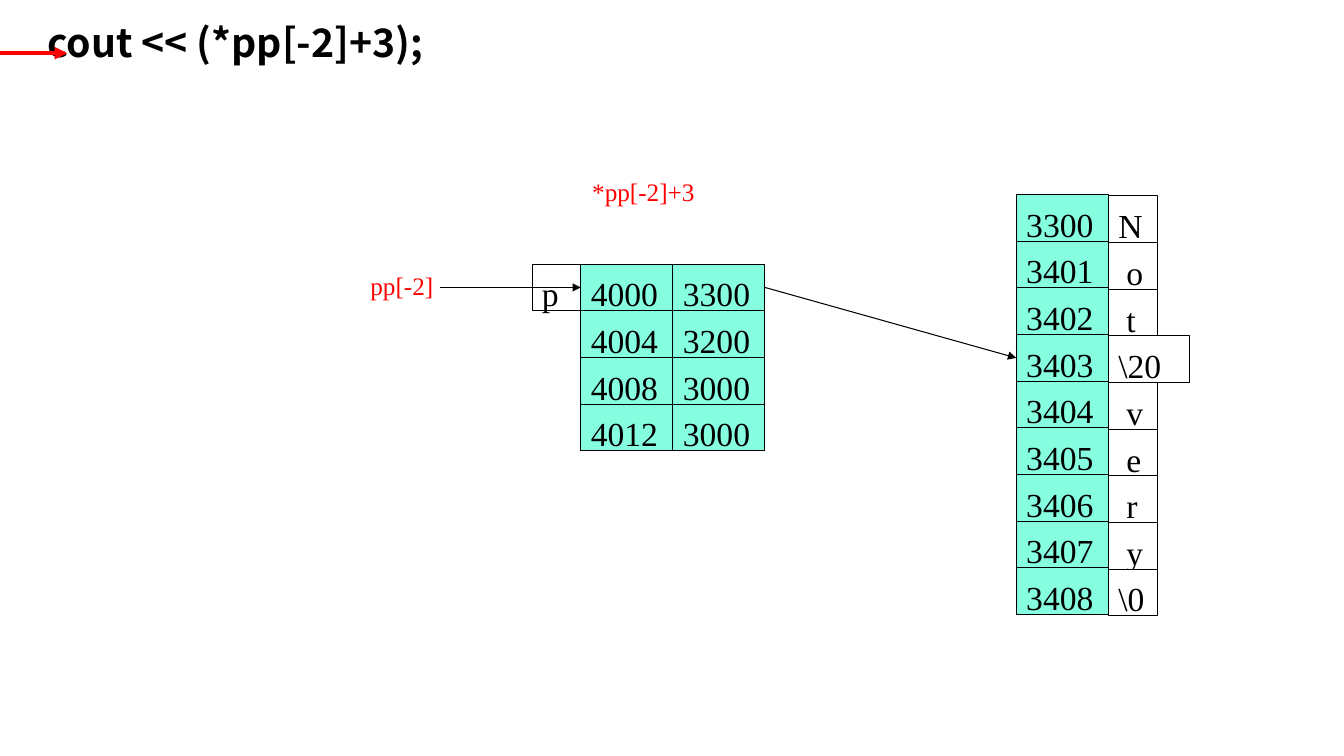
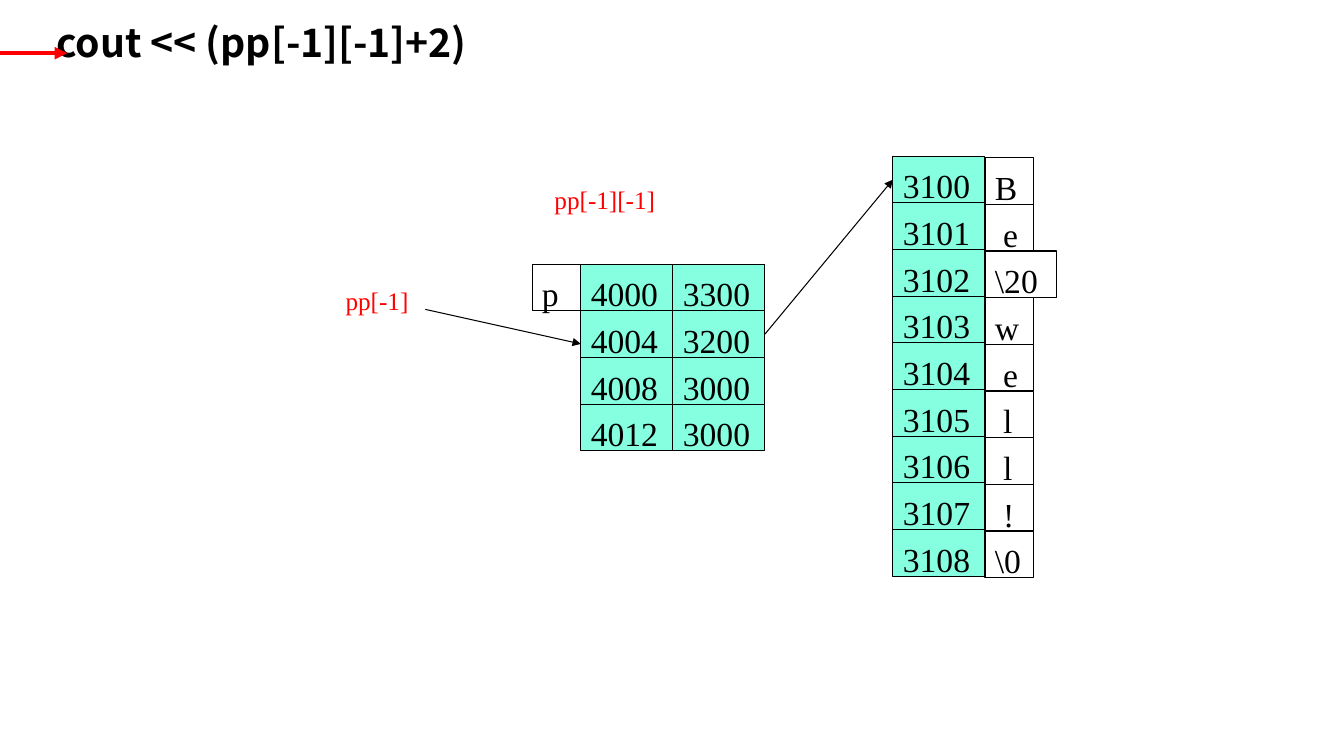
from dataclasses import dataclass

from pptx import Presentation
from pptx import util as u
from pptx.dml.color import RGBColor
from pptx.enum import shapes, text
from pptx.oxml.ns import qn
from lxml import etree


@dataclass(frozen=True)
class Theme:
    black: str = "000000"
    white: str = "FFFFFF"
    red: str = "FF0000"
    mint: str = "85FFE0"
    heading_font: str = "Noto Sans CJK SC"
    body_font: str = "Times New Roman"
    heading_size: float = 28
    cell_size: float = 24
    label_size: float = 18
    thin: float = 0.75
    thick: float = 3


# Grid: one column holds an address, one row holds a memory cell
WIDTH, HEIGHT = u.Inches(13.33), u.Inches(7.5)
COLUMN, ROW = WIDTH / 14.6, HEIGHT / 16.2
LETTER_WIDTH = 0.53
LETTER_DROP = 0.03
LETTER_INDENT = 0.18
WIDE_LETTERS = "NBw"

# Pointer array, the same on every page
ARRAY_LEFT, ARRAY_TOP = 6.31, 5.66
ADDRESSES = ["4000", "4004", "4008", "4012"]
VALUES = ["3300", "3200", "3000", "3000"]


class MemoryDeck:
    def __init__(self, theme):
        self.theme = theme
        self.deck = Presentation()
        self.deck.slide_width, self.deck.slide_height = WIDTH, HEIGHT
        self.page = None

    @staticmethod
    def place(left, top, width, height):
        return (round(left * COLUMN), round(top * ROW),
                round(width * COLUMN), round(height * ROW))

    def set_words(self, box, words, font, size, color, indent, top_margin, bold=False):
        frame = box.text_frame
        frame.text = words
        frame.auto_size = text.MSO_AUTO_SIZE.NONE
        frame.vertical_anchor = text.MSO_ANCHOR.TOP
        frame.margin_left = u.Inches(indent)
        frame.margin_top = u.Inches(top_margin)
        frame.margin_right = frame.margin_bottom = 0
        para = frame.paragraphs[0]
        para.alignment = text.PP_ALIGN.LEFT
        para.font.name, para.font.size, para.font.bold = font, u.Pt(size), bold
        para.font.color.rgb = RGBColor.from_string(color)
        return para

    def start_page(self, heading, indent):
        theme = self.theme
        self.page = self.deck.slides.add_slide(self.deck.slide_layouts[5])
        box = self.page.shapes.title
        box.left, box.top, box.width, box.height = self.place(0.22, 0.39, 14.23, 15.31)
        para = self.set_words(box, heading, theme.heading_font, theme.heading_size,
                              theme.black, indent, 0.05, bold=True)
        para.line_spacing = 0.9
        self.arrow((0, 1.14), (0.73, 1.14), theme.red, theme.thick)

    def label(self, words, left, top):
        box = self.page.shapes.add_textbox(*self.place(left, top, 1.77, 0.86))
        box.text_frame.word_wrap = True
        self.set_words(box, words, self.theme.body_font, self.theme.label_size,
                       self.theme.red, 0.35, 0.06)

    def cell(self, words, left, top, width=1.0, fill=None, indent=0.1):
        theme = self.theme
        box = self.page.shapes.add_shape(shapes.MSO_SHAPE.RECTANGLE,
                                         *self.place(left, top, width, 1))
        box.shadow.inherit = False
        box.fill.solid()
        box.fill.fore_color.rgb = RGBColor.from_string(fill or theme.mint)
        box.line.color.rgb = RGBColor.from_string(theme.black)
        box.line.width = u.Pt(theme.thin)
        box.text_frame.word_wrap = True
        self.set_words(box, words, theme.body_font, theme.cell_size, theme.black, indent, 0.09)

    def column(self, entries, left, top):
        for row, entry in enumerate(entries):
            self.cell(entry, left, top + row)

    def arrow(self, start, end, color=None, weight=None):
        x1, y1, x2, y2 = self.place(*start, *end)
        connector = self.page.shapes.add_connector(shapes.MSO_CONNECTOR.STRAIGHT, x1, y1, x2, y2)
        connector.line.color.rgb = RGBColor.from_string(color or self.theme.black)
        connector.line.width = u.Pt(weight or self.theme.thin)
        properties = connector.element.spPr
        etree.SubElement(properties.find(qn("a:ln")), qn("a:tailEnd"), type="triangle")
        etree.SubElement(properties, qn("a:effectLst"))

    def pointer_array(self):
        self.cell("p", ARRAY_LEFT - LETTER_WIDTH, ARRAY_TOP, LETTER_WIDTH, self.theme.white)
        self.column(ADDRESSES, ARRAY_LEFT, ARRAY_TOP)
        self.column(VALUES, ARRAY_LEFT + 1, ARRAY_TOP)

    def string(self, addresses, letters, left, top, space_width):
        self.column(addresses, left, top)
        for row, letter in enumerate(letters):
            narrow = len(letter) == 1 and letter not in WIDE_LETTERS
            self.cell(letter, left + 1, top + row + LETTER_DROP,
                      space_width if letter == "\\20" else LETTER_WIDTH,
                      self.theme.white, LETTER_INDENT if narrow else 0.1)

    def follow(self, array_row, left, top, string_row):
        self.arrow((ARRAY_LEFT + 2, ARRAY_TOP + array_row + 0.5),
                   (left, top + string_row + 0.5))


show = MemoryDeck(Theme())

# Page 1: fourth character of the first string
show.start_page("cout << (*pp[-2]+3);", 0.27)
show.pointer_array()
show.string(["3300"] + [str(3400 + n) for n in range(1, 9)],
            ["N", "o", "t", "\\20", "v", "e", "r", "y", "\\0"], 11.04, 4.17, 0.88)
show.label("*pp[-2]+3", 6.05, 3.65)
show.label("pp[-2]", 3.64, 5.66)
show.arrow((4.78, 6.16), (ARRAY_LEFT, 6.16))
show.follow(0, 11.04, 4.17, 3)

# Page 2: string just before the second pointer's target
show.start_page("cout << (pp[-1][-1]+2)", 0.36)
show.pointer_array()
show.string([str(3100 + n) for n in range(9)],
            ["B", "e", "\\20", "w", "e", "l", "l", "!", "\\0"], 9.7, 3.35, 0.78)
show.label("pp[-1][-1]", 5.64, 3.82)
show.label("pp[-1]", 3.37, 5.98)
show.arrow((4.62, 6.63), (ARRAY_LEFT, 7.37))
show.follow(1, 9.7, 3.35, 0)

show.deck.save("out.pptx")
